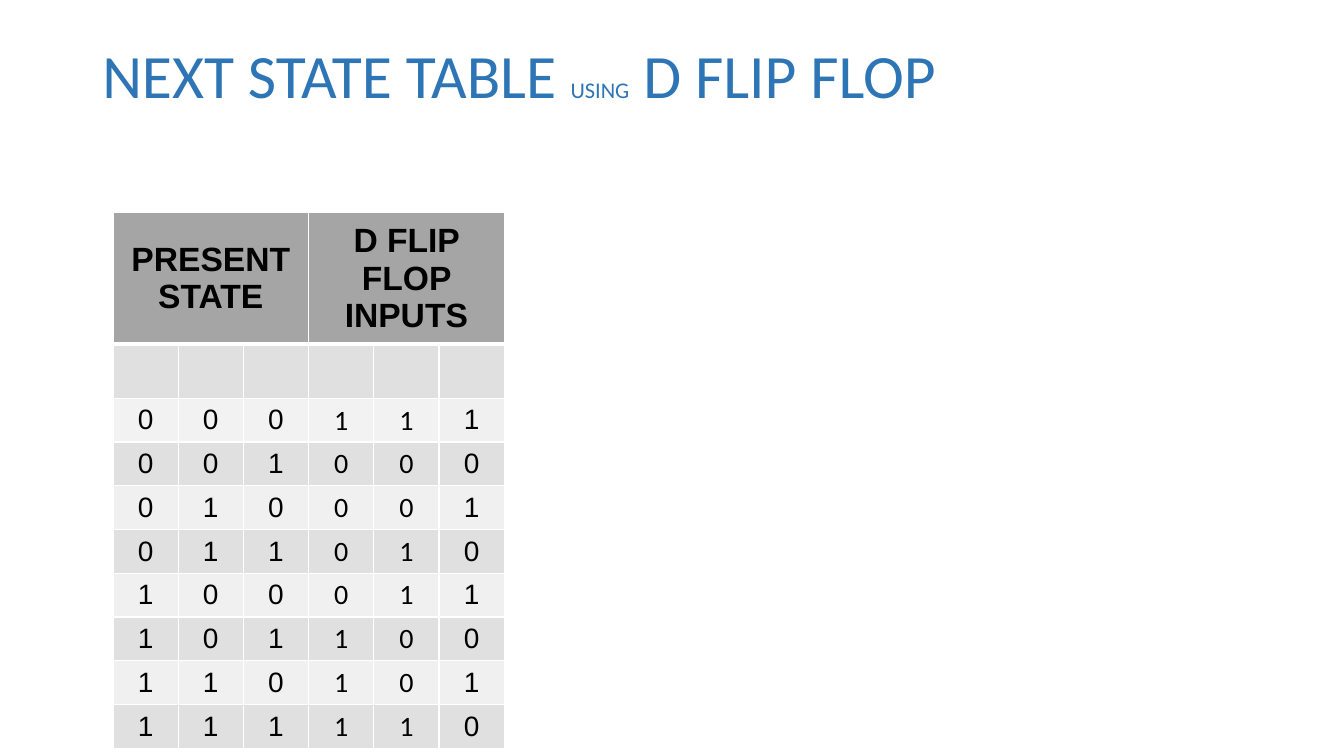
"""Build the next state table slide for a D flip flop counter."""
from lxml.etree import SubElement as Sub
from pptx import Presentation
from pptx.dml.color import RGBColor
from pptx.enum.text import MSO_ANCHOR as Anchor, PP_ALIGN as Align
from pptx.oxml.ns import qn
from pptx.util import Pt


def style(run, size, name, color, bold=False):
    """Set the font of a run."""
    form = {"size": Pt(size), "name": name, "bold": bold}
    for key, val in form.items():
        setattr(run.font, key, val)
    run.font.color.rgb = RGBColor.from_string(color)


def edge(cell, side, width):
    """Draw a white border on one side of a cell."""
    line = Sub(cell._tc.get_or_add_tcPr(), qn(f"a:ln{side}"), w=str(Pt(width)))
    Sub(Sub(line, qn("a:solidFill")), qn("a:srgbClr"), val="FFFFFF")


deck = Presentation()
deck.slide_width, deck.slide_height = Pt(960), Pt(540)
slide = deck.slides.add_slide(deck.slide_layouts[6])

title = slide.shapes.add_textbox(Pt(66), Pt(28.8), Pt(828), Pt(104.4))
frame = title.text_frame
frame.word_wrap = True
frame.vertical_anchor = Anchor.TOP
para = frame.paragraphs[0]
para.line_spacing = 0.9
for text, size in (("NEXT STATE TABLE ", 44), ("USING", 16), (" D FLIP FLOP", 44)):
    run = para.add_run()
    run.text = text
    style(run, size, "Calibri", "2E75B5")

rows = [["PRESENT STATE", "", "", "D FLIP FLOP INPUTS", "", ""], [""] * 6]
rows += [list(f"{n:03b}{(n - 1) % 8:03b}") for n in range(8)]
highs = [64.8, 38.9] + [31] * 8

grid = slide.shapes.add_table(10, 6, Pt(80.7), Pt(152), Pt(279.6), Pt(sum(highs))).table
grid.first_row = grid.horz_banding = False
for col in grid.columns:
    col.width = Pt(46.6)

for r, row in enumerate(rows):
    grid.rows[r].height = Pt(highs[r])
    head = r == 0
    for c, text in enumerate(row):
        cell = grid.cell(r, c)
        for side in "LRTB":
            thick = (r, side) in ((0, "B"), (1, "T"))
            edge(cell, side, 3 if thick else 1)
        fill = "A5A5A5" if head else "E0E0E0" if r % 2 else "F0F0F0"
        if r == 2 and c < 5:
            fill = "F2F2F2"
        cell.fill.solid()
        cell.fill.fore_color.rgb = RGBColor.from_string(fill)
        cell.vertical_anchor = Anchor.MIDDLE
        if text:
            para = cell.text_frame.paragraphs[0]
            para.alignment = Align.CENTER
            run = para.add_run()
            run.text = text
            name = "Calibri" if c in (3, 4) and not head else "Arial"
            style(run, 24 if head else 20, name, "000000", head)

for c in (0, 3):
    grid.cell(0, c).merge(grid.cell(0, c + 2))

deck.save("out.pptx")
